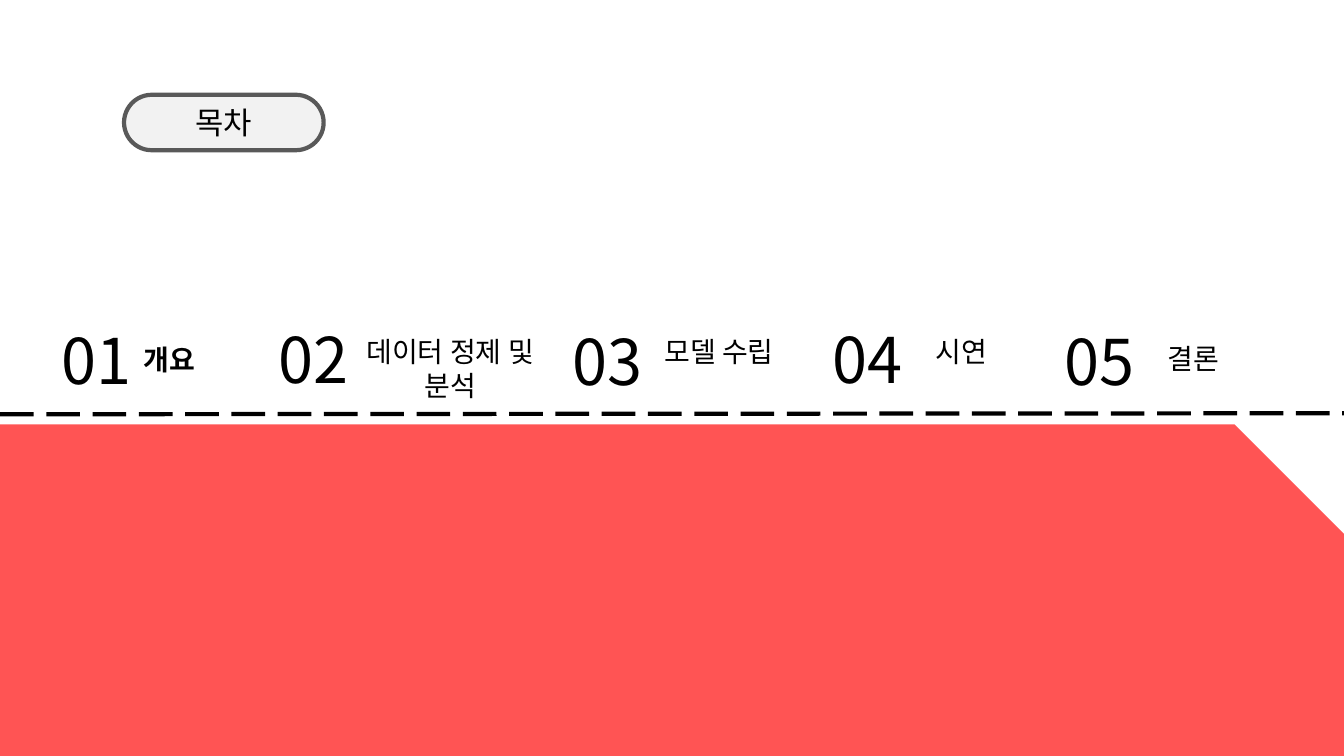
from dataclasses import dataclass

from lxml import etree
from pptx import Presentation
from pptx.dml.color import RGBColor
from pptx.enum.dml import MSO_LINE
from pptx.enum.shapes import MSO_CONNECTOR, MSO_SHAPE
from pptx.enum.text import MSO_ANCHOR, MSO_AUTO_SIZE, PP_ALIGN
from pptx.oxml.ns import qn
from pptx.slide import Slide
from pptx.text.text import TextFrame
from pptx.util import Inches, Pt

LEFT, CENTER = PP_ALIGN.LEFT, PP_ALIGN.CENTER
TOP, MIDDLE = MSO_ANCHOR.TOP, MSO_ANCHOR.MIDDLE
NO_FIT = MSO_AUTO_SIZE.NONE
LONG_DASH = MSO_LINE.LONG_DASH

FONT = "Noto Sans CJK KR"
COLORS = {"text": "000000", "pill": "F2F2F2", "pill_edge": "595959", "panel": "FF0000"}
PILL_BOX = (1.23, 0.94, 1.98, 0.55)


@dataclass(frozen=True)
class Chapter:
    label: str
    number_box: tuple[float, float, float, float]
    label_box: tuple[float, float, float, float]
    align: PP_ALIGN = LEFT
    bold: bool = False


CHAPTERS = [
    Chapter("개요", (0.4, 3.14, 1.11, 0.86), (1.33, 3.35, 1.93, 0.44), bold=True),
    Chapter("데이터 정제 및 분석", (2.46, 3.13, 1.3, 0.86), (3.48, 3.27, 1.97, 0.77), CENTER),
    Chapter("모델 수립", (5.45, 3.15, 1.15, 0.86), (6.49, 3.27, 1.3, 0.44)),
    Chapter("시연", (8.03, 3.13, 1.15, 0.86), (9.18, 3.27, 0.83, 0.44)),
    Chapter("결론", (10.33, 3.15, 1.15, 0.86), (11.48, 3.34, 1.58, 0.44)),
]


def color(name: str) -> RGBColor:
    return RGBColor.from_string(COLORS[name])


def write(frame: TextFrame, text: str, size: float, align: PP_ALIGN,
          anchor: MSO_ANCHOR = TOP, bold: bool = False) -> None:
    frame.text = text
    frame.word_wrap = True
    frame.auto_size = NO_FIT
    frame.vertical_anchor = anchor
    paragraph = frame.paragraphs[0]
    paragraph.alignment = align
    font = paragraph.runs[0].font
    font.name, font.size, font.bold = FONT, Pt(size), bold
    font.color.rgb = color("text")
    # Hangul takes the East Asian typeface
    latin = font._element.find(qn("a:latin"))
    east_asian = etree.Element(qn("a:ea"), typeface=FONT)
    latin.addnext(east_asian)


def add_text(slide: Slide, box: tuple[float, float, float, float], text: str,
             size: float, align: PP_ALIGN, bold: bool = False) -> None:
    text_box = slide.shapes.add_textbox(*map(Inches, box))
    write(text_box.text_frame, text, size, align, bold=bold)


def add_chapters(slide: Slide) -> None:
    for number, chapter in enumerate(CHAPTERS, start=1):
        add_text(slide, chapter.label_box, chapter.label, 20, chapter.align, chapter.bold)
        add_text(slide, chapter.number_box, f"{number:02}", 45, CENTER)


def add_dashed_rule(slide: Slide) -> None:
    rule = slide.shapes.add_connector(
        MSO_CONNECTOR.STRAIGHT, Inches(0), Inches(4.11), Inches(13.39), Inches(4.1))
    rule.line.color.rgb = color("text")
    rule.line.width = Pt(3)
    rule.line.dash_style = LONG_DASH
    etree.SubElement(rule._element.spPr, qn("a:effectLst"))


def add_panel(slide: Slide) -> None:
    panel = slide.shapes.add_shape(
        MSO_SHAPE.SNIP_1_RECTANGLE, Inches(0), Inches(4.21), Inches(13.33), Inches(3.29))
    panel.adjustments[0] = 0.33
    panel.shadow.inherit = False
    panel.line.fill.background()
    panel.fill.solid()
    panel.fill.fore_color.rgb = color("panel")
    tint = panel._element.spPr.find(f"{qn('a:solidFill')}/{qn('a:srgbClr')}")
    etree.SubElement(tint, qn("a:alpha"), val="67000")


def add_title(slide: Slide) -> None:
    pill = slide.shapes.add_shape(MSO_SHAPE.ROUNDED_RECTANGLE, *map(Inches, PILL_BOX))
    pill.adjustments[0] = 0.5
    pill.shadow.inherit = False
    pill.fill.solid()
    pill.fill.fore_color.rgb = color("pill")
    pill.line.color.rgb = color("pill_edge")
    pill.line.width = Pt(3)

    title = slide.shapes.title
    title.left, title.top, title.width, title.height = map(Inches, PILL_BOX)
    write(title.text_frame, "목차", 22, CENTER, MIDDLE)
    # Bring the title in front of its pill
    pill._element.addnext(title._element)


def main() -> None:
    deck = Presentation()
    deck.slide_width, deck.slide_height = Inches(13.33), Inches(7.5)
    slide = deck.slides.add_slide(deck.slide_layouts.get_by_name("Title Only"))
    add_chapters(slide)
    add_dashed_rule(slide)
    add_panel(slide)
    add_title(slide)
    deck.save("out.pptx")


if __name__ == "__main__":
    main()
